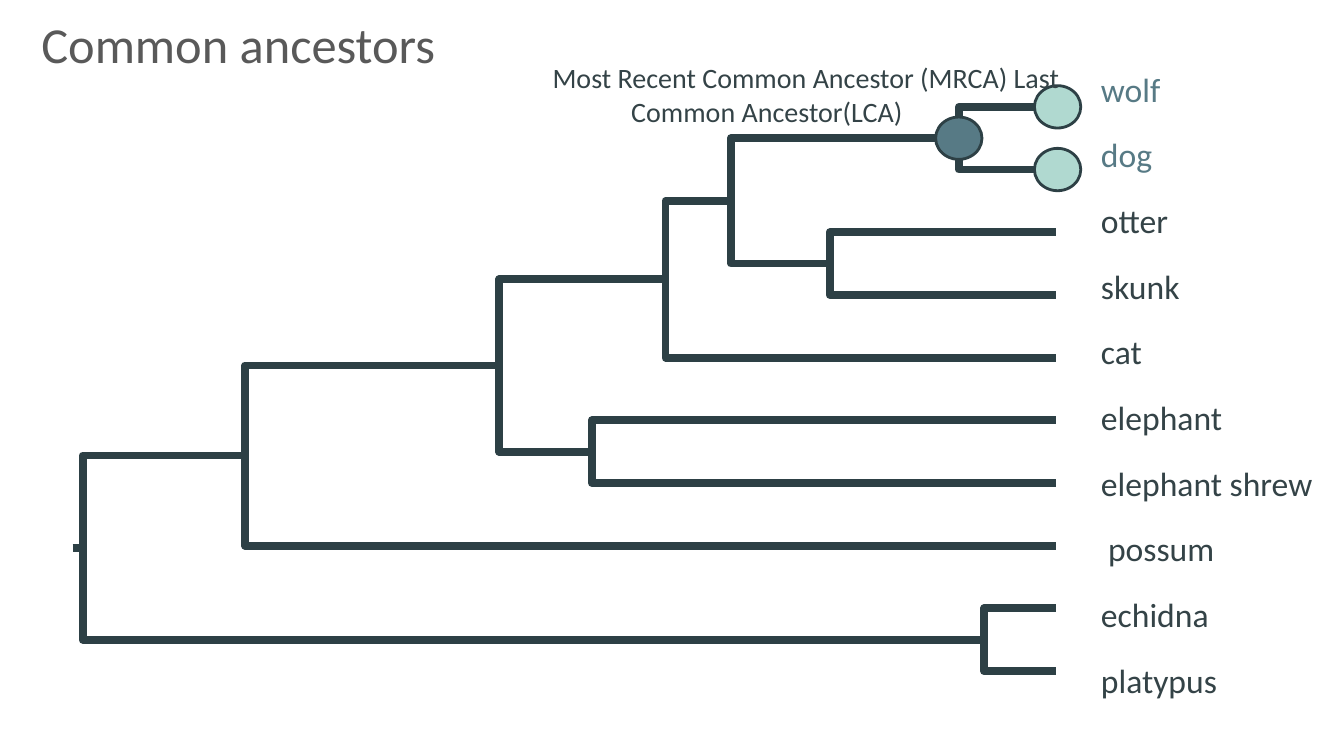
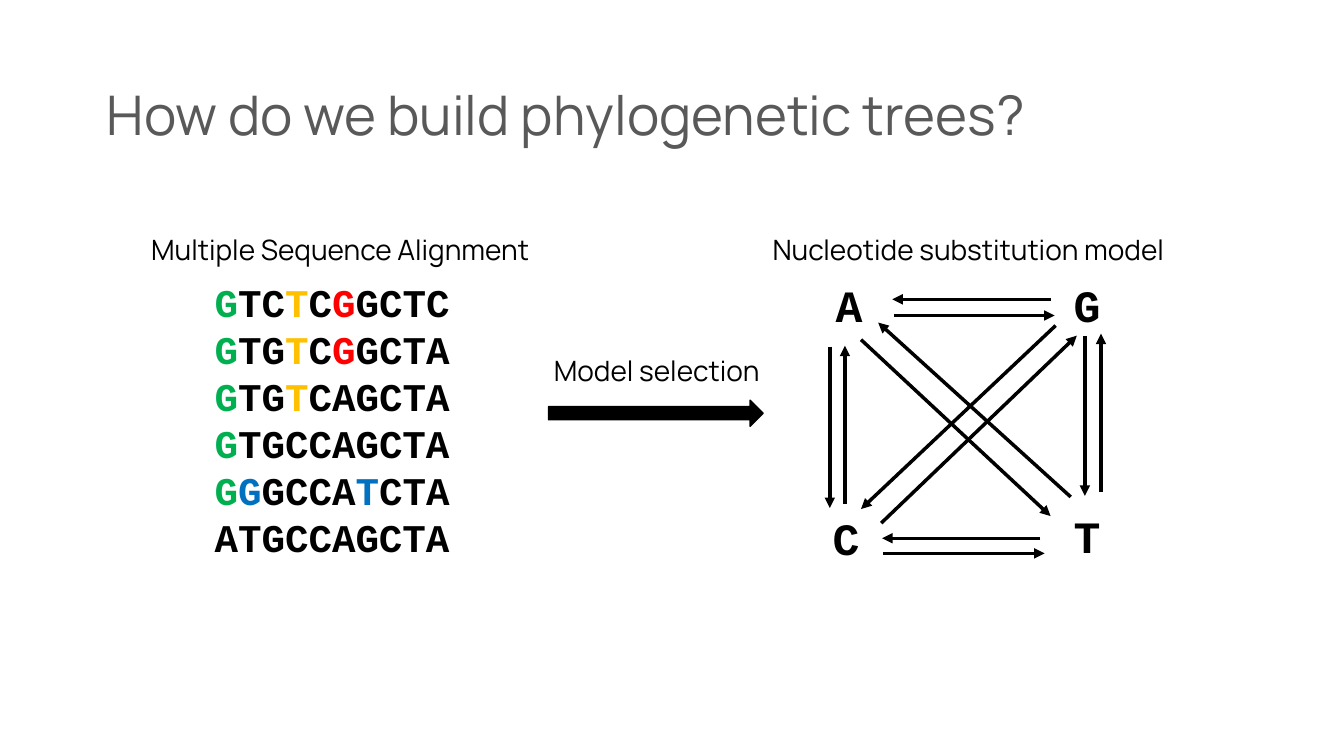
from itertools import groupby

from lxml.etree import SubElement
from pptx import Presentation
from pptx.dml.color import RGBColor
from pptx.enum.shapes import MSO_CONNECTOR as CONNECTOR, MSO_SHAPE as SHAPE
from pptx.enum.text import MSO_ANCHOR as ANCHOR, MSO_AUTO_SIZE as AUTO_SIZE, PP_ALIGN as ALIGN
from pptx.oxml.ns import qn
from pptx.util import Pt

PX = 9144  # 100 px to the inch
TITLE_ONLY = 5

TITLE_GREY = RGBColor(0x59, 0x59, 0x59)
BRANCH = RGBColor(0x2D, 0x40, 0x45)
LABEL = RGBColor(0x34, 0x43, 0x47)
SLATE = RGBColor(0x57, 0x7A, 0x85)
MINT = RGBColor(0xB0, 0xD9, 0xD0)
BLACK = RGBColor(0, 0, 0)
BASE_COLOURS = {
    ".": BLACK,
    "g": RGBColor(0x00, 0xB0, 0x50),
    "y": RGBColor(0xFF, 0xC0, 0x00),
    "r": RGBColor(0xFF, 0x00, 0x01),
    "b": RGBColor(0x00, 0x70, 0xC0),
}

CAPTION = {"name": "Manrope", "size": Pt(20)}
SEQUENCE = {"name": "Courier New", "size": Pt(28), "bold": True}
NUCLEOTIDE = {"name": "Courier New", "size": Pt(32), "bold": True}
TAXON = {"name": "Calibri", "size": Pt(24)}
ANCESTOR = {"name": "Calibri", "size": Pt(20)}

# A node is its x followed by its two children; a leaf is a species name.
MRCA = (951, "wolf", "dog")
TREE = (82,
        (243,
         (495,
          (660, (725, MRCA, (823, "otter", "skunk")), "cat"),
          (587, "elephant", "elephant shrew")),
         "possum"),
        (976, "echidna", "platypus"))
SPECIES = ["wolf", "dog", "otter", "skunk", "cat", "elephant", "elephant shrew",
           "possum", "echidna", "platypus"]
HIGHLIGHTED = ("wolf", "dog")
LABEL_INDENT = {"possum": 7}
LEAF_X, LEAF_TOP, LEAF_STEP = 1047, 106, 62.2
ROOT_X = 72
ANCESTOR_TEXT = "Most Recent Common Ancestor (MRCA) Last Common Ancestor(LCA)"

ALIGNMENT = [
    ("GTCTCGGCTC", "g..y.r...."),
    ("GTGTCGGCTA", "g..y.r...."),
    ("GTGTCAGCTA", "g..y......"),
    ("GTGCCAGCTA", "g........."),
    ("GGGCCATCTA", "gb....b..."),
    ("ATGCCAGCTA", ".........."),
]
CAPTIONS = [
    ("Multiple Sequence Alignment", (119, 226, 437, 44)),
    ("Model selection", (494, 346, 315, 44)),
    ("Nucleotide substitution model", (742, 226, 437, 44)),
]
NUCLEOTIDES = {"A": (819, 271), "G": (1055, 271), "C": (816, 502), "T": (1055, 500)}
SUBSTITUTIONS = [
    (854, 337, 1042, 512), (1062, 493, 871, 320),  # A and T
    (874, 519, 1068, 333), (1047, 323, 854, 505),  # C and G
    (1042, 297, 885, 297), (887, 313, 1046, 313),  # G and A
    (838, 500, 838, 343), (823, 344, 823, 504),  # C and A
    (1092, 488, 1092, 331), (1076, 333, 1076, 492),  # T and G
    (1032, 534, 875, 534), (876, 549, 1036, 549),  # T and C
]


def emu(*lengths):
    return [round(length * PX) for length in lengths]


def apply(target, values):
    for name, value in values.items():
        setattr(target, name, value)


def set_insets(frame, side, end):
    """Set the left/right and the top/bottom margins of a text frame."""
    side, end = emu(side, end)
    apply(frame, {"margin_left": side, "margin_right": side,
                  "margin_top": end, "margin_bottom": end})


def add_page(deck, title, place, font, insets, line_spacing):
    page = deck.slides.add_slide(deck.slide_layouts[TITLE_ONLY])
    box = page.shapes.title
    apply(box, dict(zip(("left", "top", "width", "height"), emu(*place))))
    frame = box.text_frame
    apply(frame, {"text": title, "word_wrap": True, "auto_size": AUTO_SIZE.NONE,
                  "vertical_anchor": ANCHOR.BOTTOM})
    set_insets(frame, *insets)
    para = frame.paragraphs[0]
    apply(para, {"alignment": ALIGN.LEFT, "line_spacing": line_spacing})
    apply(para.font, font)
    para.font.color.rgb = TITLE_GREY
    return page


def add_text(page, place, lines, font, insets=(10, 5), align=ALIGN.LEFT):
    """Add a box of lines, each a list of (text, colour) spans."""
    frame = page.shapes.add_textbox(*emu(*place)).text_frame
    frame.word_wrap = True
    set_insets(frame, *insets)
    for index, spans in enumerate(lines):
        para = frame.add_paragraph() if index else frame.paragraphs[0]
        para.alignment = align
        for text, colour in spans:
            span = para.add_run()
            span.text = text
            apply(span.font, font)
            span.font.color.rgb = colour
    return frame


def add_line(page, ends, colour, width, arrow=False):
    line = page.shapes.add_connector(CONNECTOR.STRAIGHT, *emu(*ends))
    line.line.color.rgb = colour
    line.line.width = Pt(width)
    properties = line.element.spPr
    if arrow:
        SubElement(properties.find(qn("a:ln")), qn("a:tailEnd"), type="triangle")
    SubElement(properties, qn("a:effectLst"))


def add_filled(page, kind, place, fill, outline, width):
    shape = page.shapes.add_shape(kind, *emu(*place))
    shape.shadow.inherit = False
    shape.fill.solid()
    shape.fill.fore_color.rgb = fill
    shape.line.color.rgb = outline
    shape.line.width = Pt(width)


def add_branch(page, child, parent):
    """Draw the elbow from a child back to its parent."""
    corners = [emu(*child), emu(parent[0], child[1]), emu(*parent)]
    builder = page.shapes.build_freeform(*corners[0], scale=1.0)
    builder.add_line_segments(corners[1:], close=False)
    branch = builder.convert_to_shape()
    branch.shadow.inherit = False
    branch.fill.background()
    branch.line.color.rgb = BRANCH
    branch.line.width = Pt(5.59)


def add_tree(page, node, points):
    """Draw a subtree, record its points and return the point of its root."""
    if isinstance(node, str):
        points[node] = (LEAF_X, LEAF_TOP + LEAF_STEP * SPECIES.index(node))
    else:
        x, *children = node
        ends = [add_tree(page, child, points) for child in children]
        points[node] = (x, sum(y for _, y in ends) / len(ends))
        for end in ends:
            add_branch(page, end, points[node])
    return points[node]


def build_ancestors(deck):
    page = add_page(deck, "Common ancestors", (41, 11, 579, 63),
                    {"name": "Calibri", "size": Pt(36)}, (0, 1), 1.0)
    points = {}
    root_x, root_y = add_tree(page, TREE, points)
    add_line(page, (ROOT_X, root_y, root_x, root_y), BRANCH, 5.59)

    for node, fill, shift in (("dog", MINT, 2), ("wolf", MINT, 2), (MRCA, SLATE, 0)):
        x, y = points[node]
        add_filled(page, SHAPE.OVAL, (x + shift - 23, y - 21, 46, 42), fill, BRANCH, 2)

    labels = [[(name, SLATE if name in HIGHLIGHTED else LABEL)] for name in SPECIES]
    frame = add_text(page, (1092, 67, 216, 635), labels, TAXON, (0, 1))
    for index, (name, para) in enumerate(zip(SPECIES, frame.paragraphs)):
        if index:
            para.space_before = Pt(18.1)
        if name in LABEL_INDENT:
            para._p.get_or_add_pPr().set("marL", str(LABEL_INDENT[name] * PX))

    frame = add_text(page, (547, 59, 543, 68), [[(ANCESTOR_TEXT, LABEL)]], ANCESTOR, (0, 1))
    properties = frame.paragraphs[0]._p.get_or_add_pPr()
    properties.set("marL", str(79 * PX))
    properties.set("indent", str(-78 * PX))


def build_method(deck):
    page = add_page(deck, "How do we build phylogenetic trees?", (96, 55, 1141, 96),
                    {"name": "Manrope", "size": Pt(39)}, (10, 5), 0.9)
    add_filled(page, SHAPE.RIGHT_ARROW, (544, 397, 213, 26), BLACK, BLACK, 1)
    for text, place in CAPTIONS:
        add_text(page, place, [[(text, BLACK)]], CAPTION, align=ALIGN.CENTER)

    rows = []
    for bases, marks in ALIGNMENT:
        spans = groupby(zip(bases, marks), key=lambda pair: pair[1])
        rows.append([("".join(base for base, _ in pairs), BASE_COLOURS[mark])
                     for mark, pairs in spans])
    add_text(page, (203, 271, 269, 293), rows, SEQUENCE)

    for letter, corner in NUCLEOTIDES.items():
        add_text(page, (*corner, 51, 64), [[(letter, BLACK)]], NUCLEOTIDE)
    for ends in SUBSTITUTIONS:
        add_line(page, ends, BLACK, 2.5, arrow=True)


def main():
    deck = Presentation()
    deck.slide_width, deck.slide_height = emu(1333, 750)
    build_ancestors(deck)
    build_method(deck)
    deck.save("out.pptx")


if __name__ == "__main__":
    main()
